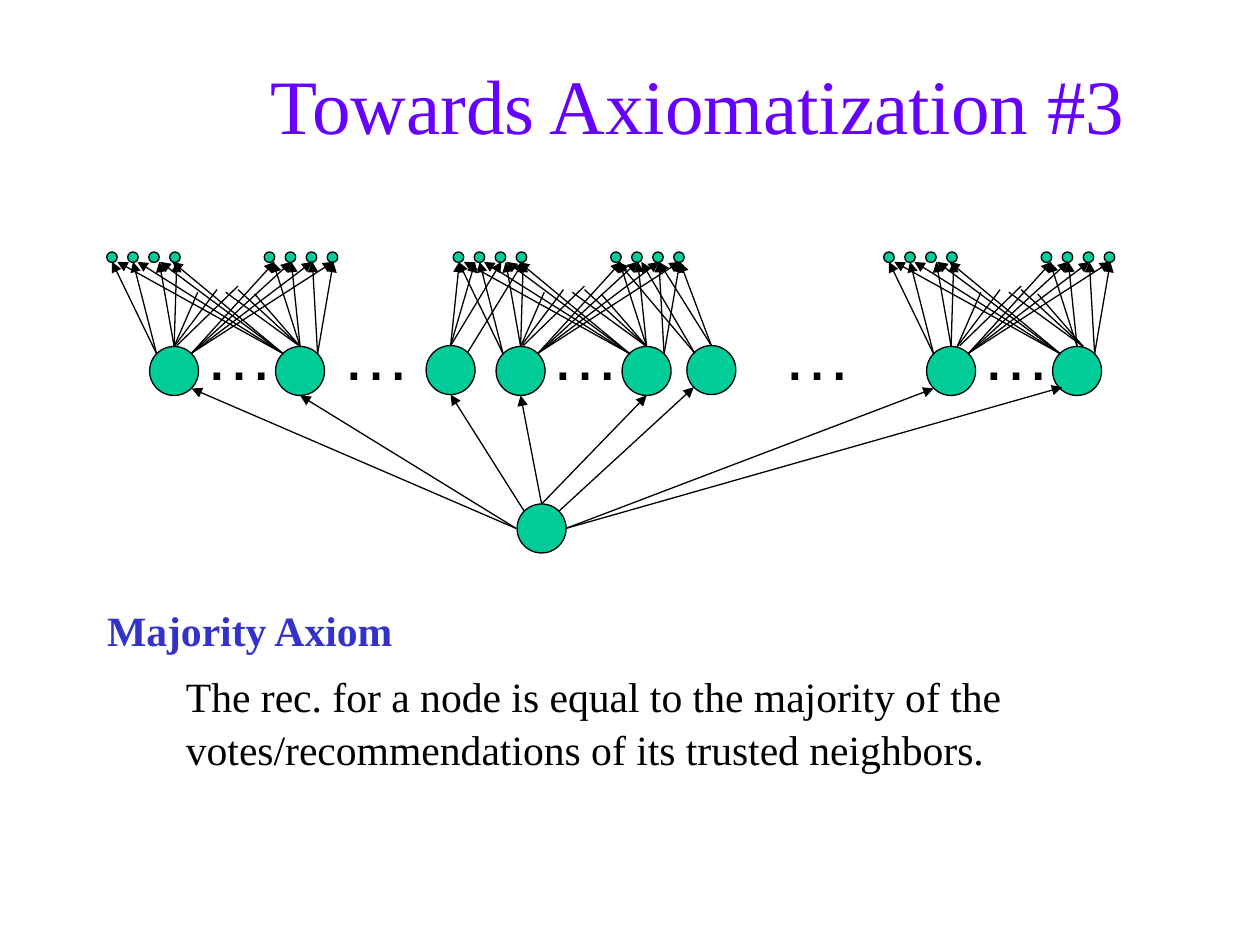
from lxml import etree
from pptx import Presentation
from pptx import util as u
from pptx.dml.color import RGBColor
from pptx.enum import shapes, text
from pptx.oxml.ns import qn

GREEN, BLACK, PURPLE, BLUE = "00CC99", "000000", "6600FF", "3333CC"
NODE, LEAF = 28, 6
LEAF_TOP, NODE_TOP, TIP_Y = 144, 198, 149.6
CLUSTERS = (0, 198, 444)  # horizontal offsets of the three repeated clusters
LEAVES = [start + 12 * i for start in (61, 151) for i in range(4)]
NODES = (85.5, 157.5)

# Start of each fan in a cluster, with the x of its arrow tips
FANS = [
    ((89.5, 202.2), (64, 76)),
    ((99.5, 198), (91, 101)),
    ((109.5, 201.8), (157, 166.5, 178.5, 190.5)),
    ((162, 202.2), (67, 78.5, 98.5, 91.5)),
    ((181.5, 202.2), (190.5, 178.5)),
    ((171.5, 198), (166.5, 156)),
]
STUBS = [
    ((99.5, 198), (113, 167)), ((99.5, 198), (124, 165.5)),
    ((101, 197.5), (136, 163.5)), ((171.5, 198), (145.5, 168)),
    ((171.5, 198), (136, 165.5)), ((171.5, 198), (129, 167)),
]
# The two additional nodes beside the middle cluster
SIDE_FANS = [
    ((257.5, 197.5), (262.5, 271.5, 286.5)),
    ((267, 201.8), (299,)),
    ((397, 201.8), (353, 366.5)),
    ((406.5, 197.5), (376.5, 388.5)),
]
ROOT_ARROWS = [
    ((295, 302), (109.5, 222)), ((295, 302), (171.5, 226)),
    ((299.5, 292), (257.5, 225.5)), ((309.5, 288), (297.5, 226)),
    ((309.5, 288), (369.5, 226)), ((319.5, 292), (396.5, 221.3)),
    ((323.3, 302), (533.5, 222)), ((323.3, 302), (607, 221.3)),
]


def rgb(value):
    return RGBColor.from_string(value)


def add_run(p, content, size, font, color, bold=False):
    r = p.add_run()
    r.text = content
    r.font.size, r.font.name, r.font.bold = u.Pt(size), font, bold
    r.font.color.rgb = rgb(color)


def place(sp, left, top, width, height):
    sp.left, sp.top, sp.width, sp.height = map(u.Pt, (left, top, width, height))


def add_circle(s, left, top, size):
    sp = s.shapes.add_shape(shapes.MSO_SHAPE.OVAL,
                            *map(u.Pt, (left, top, size, size)))
    sp.shadow.inherit = False
    sp.fill.solid()
    sp.fill.fore_color.rgb = rgb(GREEN)
    sp.line.color.rgb = rgb(BLACK)
    sp.line.width = u.Pt(0.75)


def add_line(s, start, end, arrow=True):
    c = s.shapes.add_connector(shapes.MSO_CONNECTOR.STRAIGHT,
                               *map(u.Pt, (*start, *end)))
    c.line.color.rgb = rgb(BLACK)
    c.line.width = u.Pt(0.75)
    if arrow:
        etree.SubElement(c.line._get_or_add_ln(), qn("a:tailEnd"), type="triangle")
    etree.SubElement(c._element.spPr, qn("a:effectLst"))


def add_fans(s, fans, dx=0):
    for (x, y), tips in fans:
        for tip in tips:
            add_line(s, (x + dx, y), (tip + dx, TIP_Y))


def add_ellipsis(s, left):
    tf = s.shapes.add_textbox(*map(u.Pt, (left, 174, 54, 55.5))).text_frame
    tf.word_wrap = False
    tf.auto_size = text.MSO_AUTO_SIZE.SHAPE_TO_FIT_TEXT
    add_run(tf.paragraphs[0], "…", 40, "Arial", BLACK)


def add_cluster(s, dx):
    for left in LEAVES:
        add_circle(s, left + dx, LEAF_TOP, LEAF)
    for left in NODES:
        add_circle(s, left + dx, NODE_TOP, NODE)
    add_ellipsis(s, 109.5 + dx)
    add_fans(s, FANS, dx)
    shift = dx + (3.5 if dx == CLUSTERS[-1] else 0)
    for (x1, y1), (x2, y2) in STUBS:
        add_line(s, (x1 + shift, y1), (x2 + shift, y2), arrow=False)


def add_title(s):
    sp = s.shapes.title
    place(sp, 90, 5, 618, 108)
    tf = sp.text_frame
    tf.auto_size = text.MSO_AUTO_SIZE.NONE
    tf.vertical_anchor = text.MSO_ANCHOR.MIDDLE
    p = tf.paragraphs[0]
    p.alignment = text.PP_ALIGN.CENTER
    add_run(p, "Towards Axiomatization #3", 44, "Times New Roman", PURPLE)


def add_body(s):
    sp = s.placeholders[1]
    place(sp, 54, 340.5, 607, 104.5)
    tf = sp.text_frame
    tf.auto_size = text.MSO_AUTO_SIZE.NONE
    items = [
        ("Majority Axiom", BLUE, True, 0, 0),
        ("The rec. for a node is equal to the majority of the "
         "votes/recommendations of its trusted neighbors.", BLACK, False, 45, 7),
    ]
    for i, (content, color, bold, indent, before) in enumerate(items):
        p = tf.add_paragraph() if i else tf.paragraphs[0]
        pPr = p._p.get_or_add_pPr()
        pPr.set("marL", str(u.Pt(indent)))
        pPr.set("indent", "0")
        etree.SubElement(pPr, qn("a:buNone"))
        p.space_before = u.Pt(before)
        p.line_spacing = 1.06
        add_run(p, content, 23.8, "Times New Roman", color, bold)


def main():
    prs = Presentation()
    prs.slide_width, prs.slide_height = u.Pt(720), u.Pt(540)
    s = prs.slides.add_slide(prs.slide_layouts[1])
    add_title(s)
    add_body(s)
    add_circle(s, 295.5, 288, NODE)
    for left in (243.5, 392.5):
        add_circle(s, left, 197.5, NODE)
    for dx in CLUSTERS:
        add_cluster(s, dx)
    for left in (188, 440):
        add_ellipsis(s, left)
    add_fans(s, SIDE_FANS)
    for start, end in ROOT_ARROWS:
        add_line(s, start, end)
    prs.save("out.pptx")


if __name__ == "__main__":
    main()
